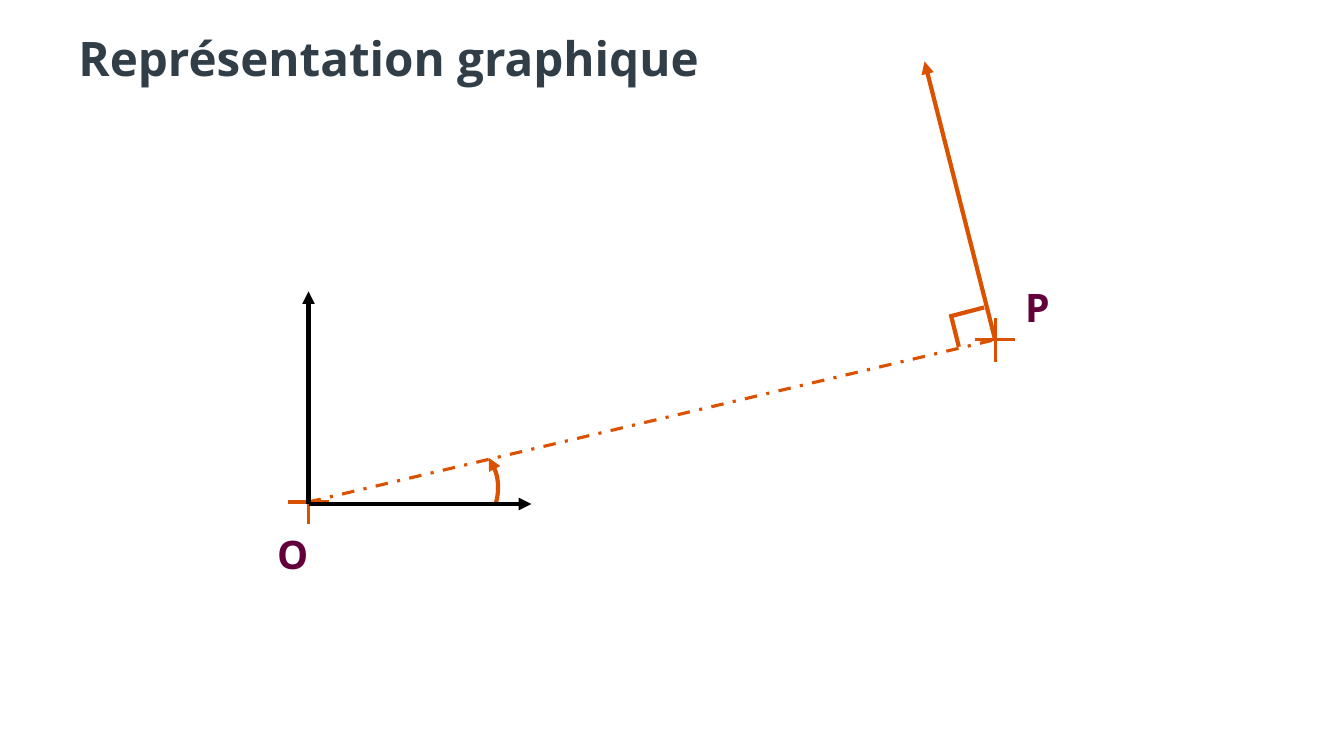
"""Build the slide showing a vector at P perpendicular to the segment OP."""
from lxml.etree import SubElement
from pptx import Presentation
from pptx.dml.color import RGBColor
from pptx.enum.dml import MSO_LINE
from pptx.enum.shapes import MSO_CONNECTOR, MSO_SHAPE
from pptx.enum.text import MSO_ANCHOR, MSO_AUTO_SIZE
from pptx.oxml.ns import qn
from pptx.util import Inches, Pt

ORANGE = RGBColor(0xDA, 0x52, 0x00)
BLACK = RGBColor(0x00, 0x00, 0x00)
SLATE = RGBColor(0x31, 0x3E, 0x48)
PLUM = RGBColor(0x63, 0x00, 0x3C)

TITLE = "Représentation graphique"
POINT_O = (3.06, 4.98)
POINT_P = (9.87, 3.37)
AXES_ORIGIN = (3.06, 5)
LABELS = [("O", 2.65, 5.21), ("P", 10.07, 2.76)]
CROSS_HALF_WIDTH, CROSS_HALF_HEIGHT = 0.2, 0.22
ARROWS = [
    (AXES_ORIGIN, (3.06, 2.89), BLACK),
    (AXES_ORIGIN, (5.27, 5), BLACK),
    (POINT_P, (9.17, 0.61), ORANGE),
]
RIGHT_ANGLE = [((9.76, 3.05), (9.42, 3.14)), ((9.43, 3.12), (9.51, 3.44))]
ANGLE_ARC = (4, 4.34, 0.94, 1)
ARC_ADJUSTMENTS = (193.04, 12.88)


def add_arrowhead(shape, end):
    SubElement(shape.line._get_or_add_ln(), qn(f"a:{end}"), type="triangle")


def add_line(page, start, finish, color=ORANGE, width=3):
    line = page.shapes.add_connector(
        MSO_CONNECTOR.STRAIGHT, *map(Inches, start + finish))
    line.line.color.rgb = color
    line.line.width = Pt(width)
    SubElement(line._element.spPr, qn("a:effectLst"))
    return line


def add_cross(page, center):
    x, y = center
    for dx, dy in [(CROSS_HALF_WIDTH, 0), (0, CROSS_HALF_HEIGHT)]:
        add_line(page, (x - dx, y - dy), (x + dx, y + dy), width=2.25)


def add_text(page, text, area, size, color):
    box = page.shapes.add_textbox(*map(Inches, area))
    frame = box.text_frame
    frame.word_wrap = True
    frame.text = text
    font = frame.paragraphs[0].font
    font.name, font.size, font.bold = "Open Sans", Pt(size), True
    font.color.rgb = color
    return frame


def add_angle_arc(page):
    arc = page.shapes.add_shape(MSO_SHAPE.ARC, *map(Inches, ANGLE_ARC))
    arc.shadow.inherit = False
    for index, value in enumerate(ARC_ADJUSTMENTS):
        arc.adjustments[index] = value
    arc.fill.background()
    arc.line.color.rgb = ORANGE
    arc.line.width = Pt(3)
    add_arrowhead(arc, "headEnd")


def main():
    deck = Presentation()
    deck.slide_width, deck.slide_height = Inches(13.33), Inches(7.5)
    page = deck.slides.add_slide(deck.slide_layouts[6])

    add_angle_arc(page)
    title = add_text(page, TITLE, (0.68, 0.3, 11.13, 0.61), 34, SLATE)
    title.vertical_anchor = MSO_ANCHOR.MIDDLE
    title.paragraphs[0].line_spacing = 0.9

    for center in (POINT_O, POINT_P):
        add_cross(page, center)
    for text, left, top in LABELS:
        label = add_text(page, text, (left, top, 0.42, 0.57), 28, PLUM)
        label.auto_size = MSO_AUTO_SIZE.SHAPE_TO_FIT_TEXT

    segment = add_line(page, POINT_O, POINT_P, width=2.25)
    segment.line.dash_style = MSO_LINE.DASH_DOT
    for start, finish, color in ARROWS:
        add_arrowhead(add_line(page, start, finish, color), "tailEnd")
    for start, finish in RIGHT_ANGLE:
        add_line(page, start, finish)

    deck.save("out.pptx")


if __name__ == "__main__":
    main()
